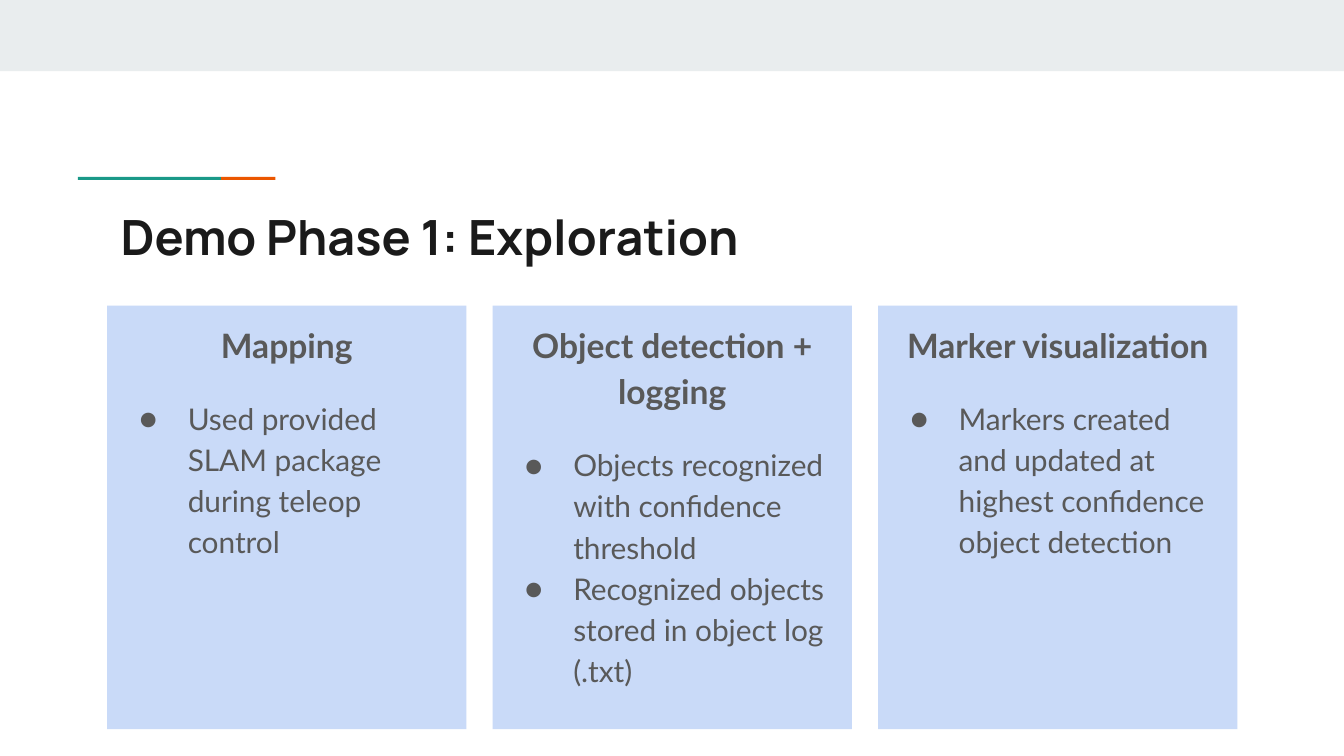
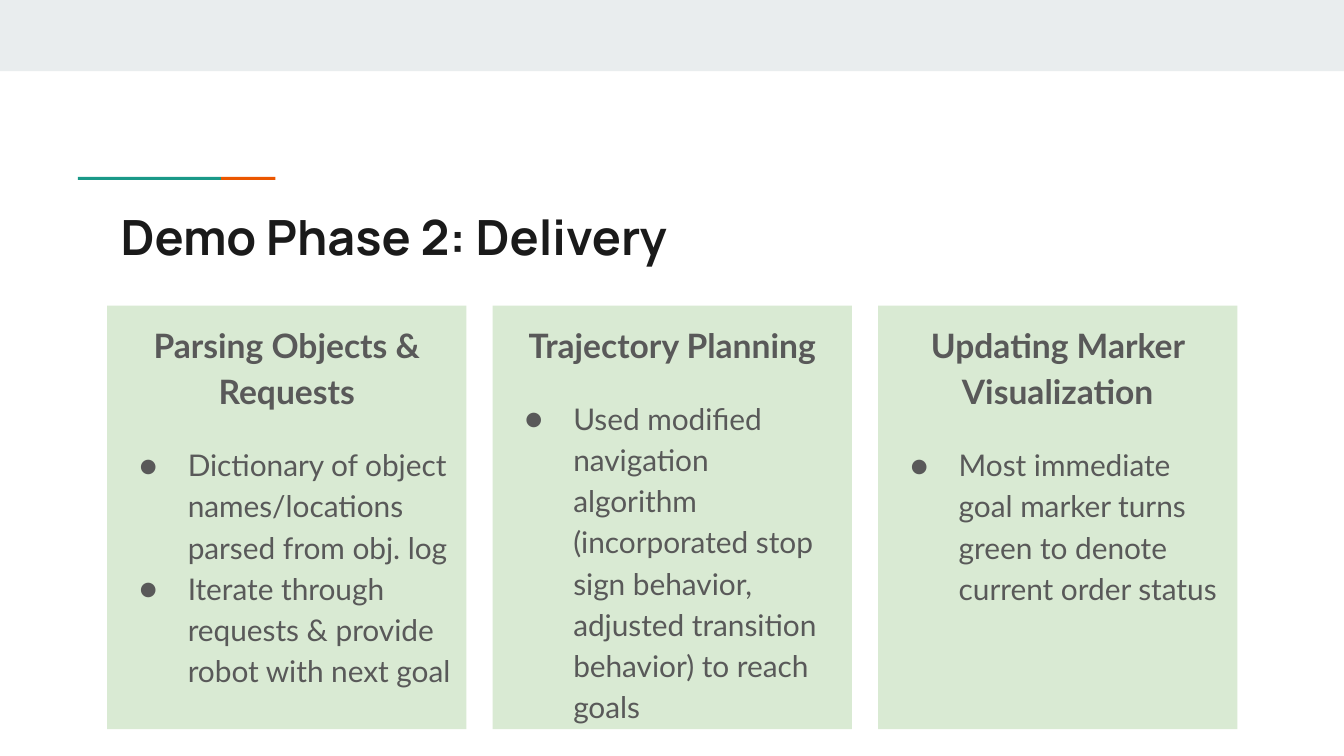
from dataclasses import dataclass

from lxml.etree import SubElement
from pptx import Presentation
from pptx.dml.color import RGBColor
from pptx.enum.shapes import MSO_SHAPE as Shape
from pptx.enum.text import MSO_ANCHOR as Anchor, MSO_AUTO_SIZE as AutoSize, PP_ALIGN as Align
from pptx.oxml.ns import qn
from pptx.util import Pt

COLORS = {
    "band": "E9EDEE", "teal": "1A9988", "orange": "EB5600",
    "title": "1A1A1A", "text": "595959", "blue": "C9DAF8", "green": "D9EAD3",
}
TITLE_FONT, BODY_FONT = "Manrope", "Lato"
SLIDE_WIDTH, SLIDE_HEIGHT = 720, 405
COMPARISON_LAYOUT = 4
INSET = 7.2

# Card grid
CARD_LEFT, CARD_TOP, CARD_WIDTH, CARD_HEIGHT = 57.4, 163.7, 192.5, 227
CARD_STEP = 206.5


@dataclass(frozen=True)
class Bar:
    left: float
    top: float
    width: float
    height: float
    color: str


@dataclass(frozen=True)
class Card:
    heading: str
    bullets: tuple[str, ...]


@dataclass(frozen=True)
class Phase:
    title: str
    color: str
    cards: tuple[Card, ...]


BARS = (
    Bar(0, 0, SLIDE_WIDTH, 38.2, "band"),
    Bar(41.8, 94.8, 76.6, 1.6, "teal"),
    Bar(118.4, 94.8, 29.1, 1.6, "orange"),
)

PHASES = (
    Phase("Demo Phase 1: Exploration", "blue", (
        Card("Mapping", ("Used provided SLAM package during teleop control",)),
        Card("Object detection + logging", (
            "Objects recognized with confidence threshold",
            "Recognized objects stored in object log (.txt)",
        )),
        Card("Marker visualization", (
            "Markers created and updated at highest confidence object detection",
        )),
    )),
    Phase("Demo Phase 2: Delivery", "green", (
        Card("Parsing Objects & Requests", (
            "Dictionary of object names/locations parsed from obj. log",
            "Iterate through requests & provide robot with next goal",
        )),
        Card("Trajectory Planning", (
            "Used modified navigation algorithm (incorporated stop sign behavior, "
            "adjusted transition behavior) to reach goals",
        )),
        Card("Updating Marker Visualization", (
            "Most immediate goal marker turns green to denote current order status",
        )),
    )),
)


def rgb(name: str) -> RGBColor:
    return RGBColor.from_string(COLORS[name])


def place(shape, left: float, top: float, width: float, height: float) -> None:
    shape.left, shape.top = Pt(left), Pt(top)
    shape.width, shape.height = Pt(width), Pt(height)


def prepare_frame(text_frame) -> None:
    text_frame.word_wrap = True
    text_frame.auto_size = AutoSize.NONE
    text_frame.vertical_anchor = Anchor.TOP
    text_frame.margin_left = text_frame.margin_right = Pt(INSET)
    text_frame.margin_top = text_frame.margin_bottom = Pt(INSET)


def format_paragraph(paragraph, font: str, size: float, color: str, bold: bool,
                     align=Align.LEFT, line_spacing: float = 1.0,
                     space_before: float = 0) -> None:
    paragraph.alignment = align
    paragraph.line_spacing = line_spacing
    paragraph.space_before, paragraph.space_after = Pt(space_before), Pt(0)
    for run in paragraph.runs:
        run.font.name, run.font.size, run.font.bold = font, Pt(size), bold
        run.font.color.rgb = rgb(color)


def set_bullet(paragraph, bulleted: bool) -> None:
    properties = paragraph._p.get_or_add_pPr()
    properties.set("marL", str(Pt(36 if bulleted else 0)))
    properties.set("indent", str(Pt(-25.9 if bulleted else 0)))
    if not bulleted:
        SubElement(properties, qn("a:buNone"))
        return
    color = SubElement(properties, qn("a:buClr"))
    SubElement(color, qn("a:srgbClr"), val=COLORS["text"])
    SubElement(properties, qn("a:buFont"), typeface=BODY_FONT)
    SubElement(properties, qn("a:buChar"), char="●")


def add_bar(slide, bar: Bar) -> None:
    shape = slide.shapes.add_shape(
        Shape.RECTANGLE, Pt(bar.left), Pt(bar.top), Pt(bar.width), Pt(bar.height))
    shape.shadow.inherit = False
    shape.fill.solid()
    shape.fill.fore_color.rgb = rgb(bar.color)
    shape.line.fill.background()


def fill_title(shape, title: str) -> None:
    place(shape, CARD_LEFT, 103.7, 605.5, 42.5)
    prepare_frame(shape.text_frame)
    shape.text_frame.text = title
    format_paragraph(shape.text_frame.paragraphs[0], TITLE_FONT, 26, "title", True)


def fill_card(shape, card: Card, column: int, color: str) -> None:
    place(shape, CARD_LEFT + column * CARD_STEP, CARD_TOP, CARD_WIDTH, CARD_HEIGHT)
    shape.fill.solid()
    shape.fill.fore_color.rgb = rgb(color)
    prepare_frame(shape.text_frame)
    shape.text_frame.text = "\n".join((card.heading, *card.bullets))
    heading, *bullets = shape.text_frame.paragraphs
    format_paragraph(heading, BODY_FONT, 18, "text", True, Align.CENTER, 1.15)
    set_bullet(heading, False)
    for index, paragraph in enumerate(bullets):
        format_paragraph(paragraph, BODY_FONT, 16, "text", False,
                         line_spacing=1.15, space_before=0 if index else 16)
        set_bullet(paragraph, True)


def add_phase(presentation, phase: Phase) -> None:
    slide = presentation.slides.add_slide(presentation.slide_layouts[COMPARISON_LAYOUT])
    title, *bodies = list(slide.placeholders)
    for bar in BARS:
        add_bar(slide, bar)
    fill_title(title, phase.title)
    for column, (body, card) in enumerate(zip(bodies, phase.cards)):
        fill_card(body, card, column, phase.color)
    # Remove the placeholders without a card
    for body in bodies[len(phase.cards):]:
        body.element.getparent().remove(body.element)


def main() -> None:
    presentation = Presentation()
    presentation.slide_width, presentation.slide_height = Pt(SLIDE_WIDTH), Pt(SLIDE_HEIGHT)
    for phase in PHASES:
        add_phase(presentation, phase)
    presentation.save("out.pptx")


if __name__ == "__main__":
    main()
